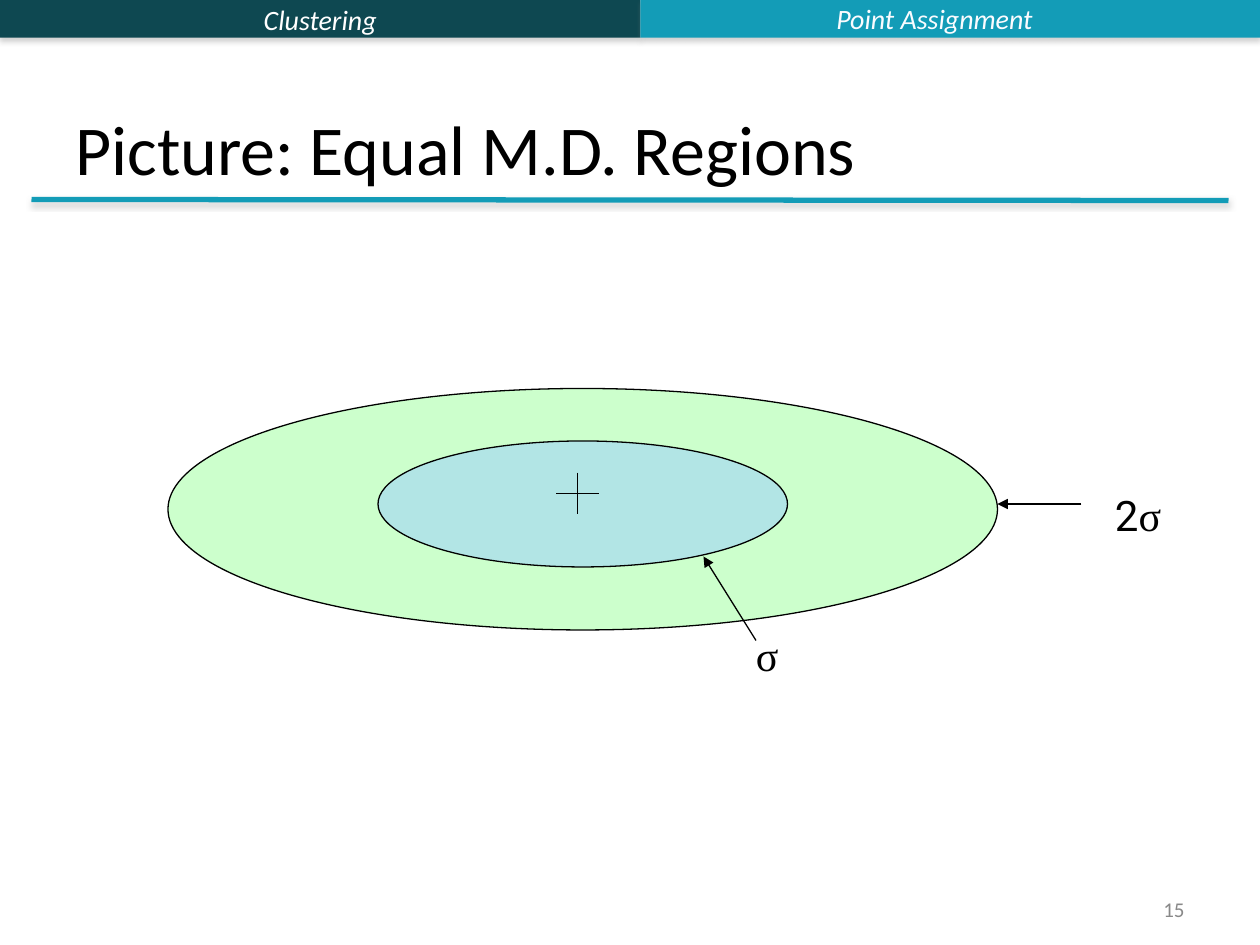
from dataclasses import dataclass

from lxml import etree
from pptx import Presentation
from pptx.dml.color import RGBColor
from pptx.enum.shapes import MSO_CONNECTOR, MSO_SHAPE
from pptx.enum.text import MSO_ANCHOR, PP_ALIGN
from pptx.oxml.ns import qn
from pptx.util import Inches, Pt

RECTANGLE, OVAL = MSO_SHAPE.RECTANGLE, MSO_SHAPE.OVAL
STRAIGHT = MSO_CONNECTOR.STRAIGHT
TOP, MIDDLE, BOTTOM = MSO_ANCHOR.TOP, MSO_ANCHOR.MIDDLE, MSO_ANCHOR.BOTTOM
LEFT, CENTER, RIGHT = PP_ALIGN.LEFT, PP_ALIGN.CENTER, PP_ALIGN.RIGHT

BLACK = RGBColor(0x00, 0x00, 0x00)
WHITE = RGBColor(0xFF, 0xFF, 0xFF)
NEAR_WHITE = RGBColor(0xFB, 0xFC, 0xFF)
GRAY = RGBColor(0x89, 0x89, 0x89)
DARK_TEAL = RGBColor(0x0E, 0x48, 0x51)
TEAL = RGBColor(0x13, 0x9C, 0xB7)
GREEN = RGBColor(0xCC, 0xFF, 0xCC)
BLUE = RGBColor(0x99, 0xCC, 0xFF)

CELLS_PER_INCH = 12  # all positions are counted in cells of this grid
SANS, LABEL_SANS, SERIF = "Calibri", "Roboto", "Times New Roman"


@dataclass
class Area:
    box: tuple[float, float, float, float]
    kind: int
    fill: RGBColor
    outlined: bool = False
    opacity: int = 100
    shadow: int = 0


@dataclass
class Line:
    start: tuple[float, float]
    end: tuple[float, float]
    color: RGBColor = BLACK
    width: float = 0.75
    arrow: bool = False
    shadow: int = 0


@dataclass
class Label:
    box: tuple[float, float, float, float]
    runs: list[tuple[str, str]]
    size: int
    color: RGBColor = BLACK
    align: int = LEFT
    anchor: int = TOP
    italic: bool = False
    wrap: bool = True


# Header bar and the two regions
HEADER_AREAS = [
    Area((0, 0, 61, 3.6), RECTANGLE, DARK_TEAL, shadow=35),
    Area((61, 0, 59, 3.6), RECTANGLE, TEAL, shadow=35),
]
REGIONS = [
    Area((16, 37, 79, 23), OVAL, GREEN, outlined=True),
    Area((36, 42, 39, 12), OVAL, BLUE, outlined=True, opacity=50),
]

# Title rule, centre cross and arrows
LINES = [
    Line((3, 19), (117, 19.1), TEAL, 3, shadow=38),
    Line((55, 45), (55, 49)),
    Line((53, 47), (57, 47)),
    Line((72, 61), (67, 53), arrow=True),
    Line((103, 48), (95, 48), arrow=True),
]

LABELS = [
    Label((0, 0, 61, 3.6), [("Clustering", SANS)], 16, WHITE, CENTER, MIDDLE, True),
    Label((58, -0.5, 62, 4.4), [("Point Assignment", SANS)], 16, NEAR_WHITE, CENTER, MIDDLE, True),
    Label((6, 3.6, 108, 15), [("Picture: Equal M.D. Regions", SANS)], 40, anchor=BOTTOM),
    Label((86, 85, 28, 3.2), [("15", SANS)], 12, GRAY, RIGHT, MIDDLE),
    Label((70.8, 59.4, 4.8, 6), [("σ", SERIF)], 24, wrap=False),
    Label((105, 46, 7.1, 6), [("2", LABEL_SANS), ("σ", SERIF)], 24, wrap=False),
]


def cells(*counts: float) -> list[int]:
    return [Inches(count / CELLS_PER_INCH) for count in counts]


def set_shadow(properties, opacity: int) -> None:
    """Give the shape a soft shadow below it, or none at all."""
    for old in properties.findall(qn("a:effectLst")):
        properties.remove(old)
    effects = etree.SubElement(properties, qn("a:effectLst"))
    if opacity:
        shadow = etree.SubElement(effects, qn("a:outerShdw"), blurRad=str(Pt(3)),
                                  dist=str(Pt(1.8)), dir="5400000", rotWithShape="0")
        color = etree.SubElement(shadow, qn("a:srgbClr"), val="808080")
        etree.SubElement(color, qn("a:alpha"), val=str(opacity * 1000))


def draw_area(slide, area: Area) -> None:
    shape = slide.shapes.add_shape(area.kind, *cells(*area.box))
    shape.fill.solid()
    shape.fill.fore_color.rgb = area.fill
    properties = shape._element.spPr
    if area.opacity < 100:
        color = properties.find(qn("a:solidFill")).find(qn("a:srgbClr"))
        etree.SubElement(color, qn("a:alpha"), val=str(area.opacity * 1000))
    if area.outlined:
        shape.line.color.rgb = BLACK
        shape.line.width = Pt(0.75)
    else:
        shape.line.fill.background()
    set_shadow(properties, area.shadow)


def draw_line(slide, line: Line) -> None:
    connector = slide.shapes.add_connector(STRAIGHT, *cells(*line.start, *line.end))
    connector.line.color.rgb = line.color
    connector.line.width = Pt(line.width)
    properties = connector._element.spPr
    if line.arrow:
        etree.SubElement(properties.find(qn("a:ln")), qn("a:tailEnd"), type="triangle")
    set_shadow(properties, line.shadow)


def draw_label(slide, label: Label) -> None:
    frame = slide.shapes.add_textbox(*cells(*label.box)).text_frame
    frame.word_wrap = label.wrap
    frame.vertical_anchor = label.anchor
    paragraph = frame.paragraphs[0]
    paragraph.alignment = label.align
    for text, font_name in label.runs:
        run = paragraph.add_run()
        run.text = text
        formats = {"name": font_name, "size": Pt(label.size), "italic": label.italic}
        for attribute, value in formats.items():
            setattr(run.font, attribute, value)
        run.font.color.rgb = label.color


presentation = Presentation()
presentation.slide_width, presentation.slide_height = Inches(10), Inches(7.5)
slide = presentation.slides.add_slide(presentation.slide_layouts[6])

for area in HEADER_AREAS + REGIONS:
    draw_area(slide, area)
for line in LINES:
    draw_line(slide, line)
for label in LABELS:
    draw_label(slide, label)

presentation.save("out.pptx")
